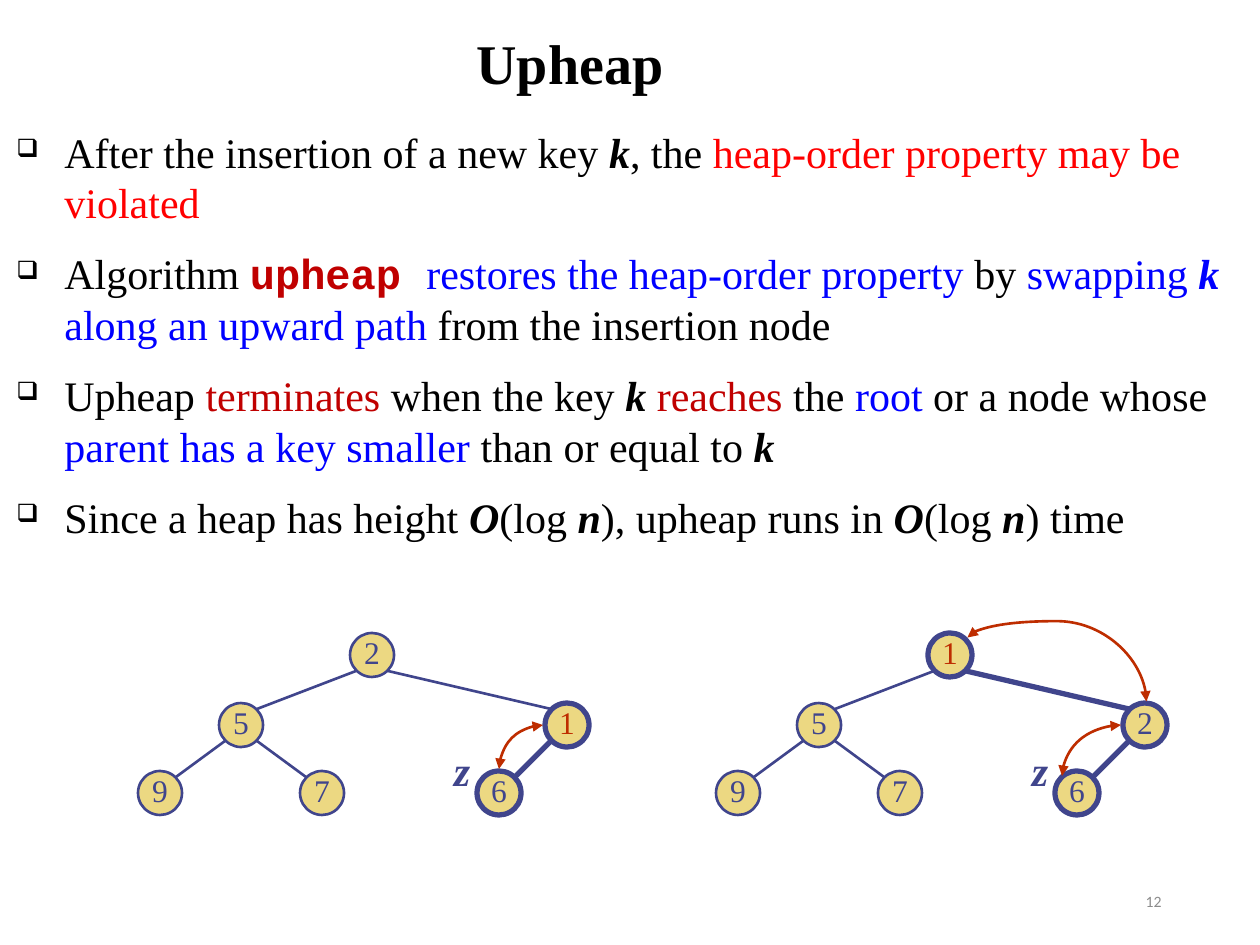
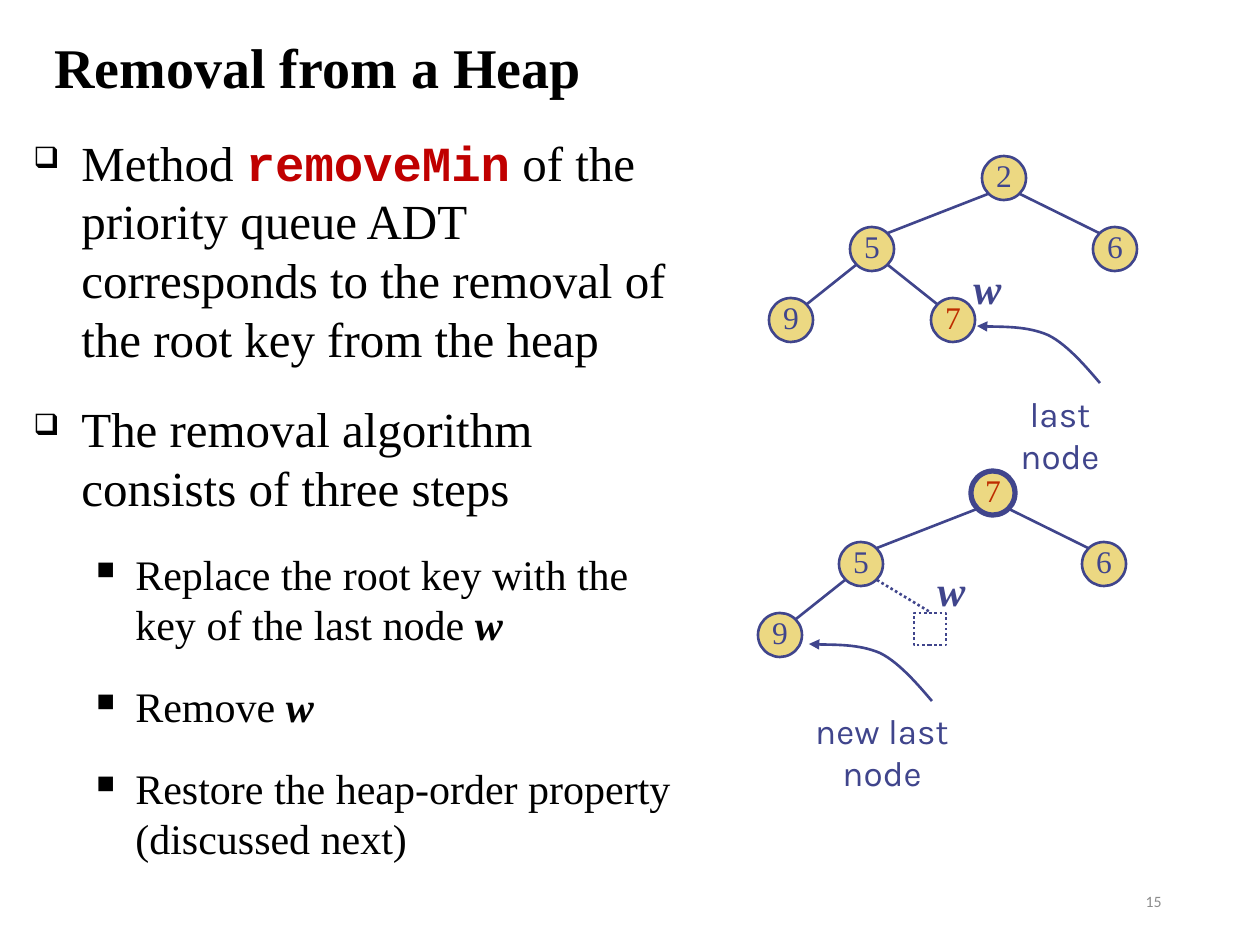
from lxml import etree
from pptx import Presentation
from pptx.dml.color import RGBColor
from pptx.enum import dml, shapes, text
from pptx.oxml.ns import qn
from pptx.util import Pt

SCALE = 914400 / 126
INK, HOT, GOLD = "40458C", "BE2D00", "ECD882"
BLACK, WHITE, GREY = "000000", "FFFFFF", "8C8C8C"
RED, BLUE, DARK = "FF0000", "0000FF", "C00000"
SERIF, MONO, SANS = "Times New Roman", "Courier New", "Karla"
THIN, THICK = 1.5, 3
LEFT, MID = text.PP_ALIGN.LEFT, text.PP_ALIGN.CENTER
RIGHT = text.PP_ALIGN.RIGHT
DOTS = dml.MSO_LINE.ROUND_DOT

STYLES = {
    "": (BLACK, False, False, SERIF),
    "var": (BLACK, True, True, SERIF),
    "red": (RED, False, False, SERIF),
    "dark": (DARK, False, False, SERIF),
    "blue": (BLUE, False, False, SERIF),
    "bluevar": (BLUE, True, True, SERIF),
    "code": (DARK, True, False, MONO),
}
BULLETS = [("❑", 48, 48), ("■", 102, 39)]
EDGES = ["ra", "rb", "ac", "ad", "be"]
WIDE = {"r": (234, 22), "a": (103, 92), "b": (429, 92),
        "c": (22, 160), "d": (184, 160), "e": (361, 160)}
SLIM = {"r": (235, 22), "a": (103, 93), "b": (346, 93),
        "c": (22, 164), "d": (184, 164)}
SWOOP = [(123, 57), (115, 48), (92, 19), (71, 9), (50, 0), (15, 1), (0, 0)]

RULES = [
    [("After the insertion of a new key ", ""), ("k", "var"), (", the ", ""),
     ("heap-order property may be violated", "red")],
    [("Algorithm ", ""), ("upheap ", "code"),
     ("restores the heap-order property ", "blue"), ("by ", ""),
     ("swapping ", "blue"), ("k", "bluevar"),
     (" along an upward path ", "blue"), ("from the insertion node", "")],
    [("Upheap ", ""), ("terminates", "dark"), (" when the key ", ""),
     ("k ", "var"), ("reaches", "dark"), (" the ", ""), ("root", "blue"),
     (" or a node whose ", ""), ("parent has a key smaller ", "blue"),
     ("than or equal to ", ""), ("k", "var")],
    [("Since a heap has height ", ""), ("O", "var"), ("(log ", ""),
     ("n", "var"), ("), upheap runs in ", ""), ("O", "var"), ("(log ", ""),
     ("n", "var"), (") time", "")],
]
STEPS = [
    [("Method ", ""), ("removeMin", "code"),
     (" of the priority queue ADT corresponds to the removal of"
      " the root key from the heap", "")],
    [("The removal algorithm consists of three steps", "")],
    [("Replace the root key with the key of the last node ", ""),
     ("w", "var")],
    [("Remove ", ""), ("w", "var")],
    [("Restore the heap-order property (discussed next)", "")],
]


def px(*nums):
    return [round(n * SCALE) for n in nums]


def rgb(code):
    return RGBColor.from_string(code)


def style(font, size, color, name=SERIF, bold=False, slant=False):
    font.size, font.name = Pt(size), name
    font.bold, font.italic = bold, slant
    font.color.rgb = rgb(color)


def stroke(item, color, width, dash=None):
    item.line.color.rgb = rgb(color)
    item.line.width = Pt(width)
    if dash:
        item.line.dash_style = dash


def heads(item, *ends):
    pen = item.line._get_or_add_ln()
    for end in ends:
        etree.SubElement(pen, qn("a:" + end), type="triangle")


def label(slide, box, words, size, color, name=SERIF, bold=False,
          slant=False, align=MID, anchor=text.MSO_ANCHOR.TOP, wrap=True):
    frame = slide.shapes.add_textbox(*px(*box)).text_frame
    frame.word_wrap, frame.vertical_anchor = wrap, anchor
    para = frame.paragraphs[0]
    para.text, para.alignment = words, align
    style(para.font, size, color, name, bold, slant)
    return frame


def page(deck, words, box, align, number):
    slide = deck.slides.add_slide(deck.slide_layouts[6])
    label(slide, (890, 876, 284, 50), number, 9, GREY, "Calibri",
          align=RIGHT, anchor=text.MSO_ANCHOR.MIDDLE)
    label(slide, box, words, 32, BLACK, bold=True, align=align,
          anchor=text.MSO_ANCHOR.BOTTOM)
    return slide


def bullet(para, level):
    mark, left, hang = BULLETS[level]
    props = para._p.get_or_add_pPr()
    props.set("marL", str(px(left)[0]))
    props.set("indent", str(px(-hang)[0]))
    tint = etree.SubElement(props, qn("a:buClr"))
    etree.SubElement(tint, qn("a:srgbClr"), val=BLACK)
    etree.SubElement(props, qn("a:buSzPct"), val="60000")
    etree.SubElement(props, qn("a:buChar"), char=mark)


def body(slide, box, items, levels, sizes, gap):
    frame = slide.shapes.add_textbox(*px(*box)).text_frame
    frame.word_wrap = True
    for i, (item, level) in enumerate(zip(items, levels)):
        para = frame.add_paragraph() if i else frame.paragraphs[0]
        para.level, para.space_before = level, Pt(gap)
        bullet(para, level)
        for words, kind in item:
            run = para.add_run()
            run.text = words
            color, bold, slant, name = STYLES[kind]
            style(run.font, sizes[level], color, name, bold, slant)


def link(slide, start, end, color=INK, width=THIN, dash=None,
         kind=shapes.MSO_CONNECTOR.STRAIGHT):
    item = slide.shapes.add_connector(kind, *px(*start, *end))
    stroke(item, color, width, dash)
    etree.SubElement(item._element.spPr, qn("a:effectLst"))
    return item


def swap(slide, start, end, preset="curvedConnector2", turn=0, adjust=None):
    item = link(slide, start, end, HOT, kind=shapes.MSO_CONNECTOR.CURVE)
    heads(item, "headEnd", "tailEnd")
    props = item._element.spPr
    props.find(qn("a:xfrm")).set("rot", str(turn * 60000))
    geom = props.find(qn("a:prstGeom"))
    geom.set("prst", preset)
    if adjust:
        guides = geom.find(qn("a:avLst"))
        if guides is None:
            guides = etree.SubElement(geom, qn("a:avLst"))
        etree.SubElement(guides, qn("a:gd"), name="adj1",
                         fmla=f"val {adjust}")


def node(slide, x, y, key, width, color):
    item = slide.shapes.add_shape(shapes.MSO_SHAPE.OVAL,
                                  *px(x - 22, y - 22, 44, 44))
    item.shadow.inherit = False
    item.fill.solid()
    item.fill.fore_color.rgb = rgb(GOLD)
    stroke(item, INK, width)
    frame = item.text_frame
    frame.margin_left = frame.margin_right = frame.margin_top = 0
    frame.margin_bottom = px(6)[0]
    frame.word_wrap = False
    frame.vertical_anchor = text.MSO_ANCHOR.MIDDLE
    para = frame.paragraphs[0]
    para.text, para.alignment = key, MID
    style(para.font, 18, color)


def tree(slide, left, top, spots, keys, bold="", hot=""):
    spots = {s: (left + x, top + y) for s, (x, y) in spots.items()}
    keys = dict(zip(spots, keys))
    for spot, key in keys.items():
        node(slide, *spots[spot], key, THICK if spot in bold else THIN,
             HOT if spot in hot else INK)
    for up, down in EDGES:
        if up in keys and down in keys:
            (x, y), (p, q) = spots[up], spots[down]
            side = 16 if p > x else -16
            heavy = up in bold and down in bold
            link(slide, (x + side, y + 16), (p - side, q - 16),
                 width=THICK if heavy else THIN)
    return spots


def mark(slide, x, y, letter):
    label(slide, (x - 26, y, 52, 63), letter, 24, INK, bold=True,
          slant=True, wrap=False)


def swoop(slide, x, y):
    dots = [tuple(px(x + p, y + q)) for p, q in SWOOP]
    form = slide.shapes.build_freeform(*dots[0], scale=1.0)
    form.add_line_segments(dots[1:], close=False)
    item = form.convert_to_shape()
    item.shadow.inherit = False
    item.fill.background()
    stroke(item, INK, THIN)
    heads(item, "tailEnd")
    route = next(item._element.iter(qn("a:path")))
    legs = route.findall(qn("a:lnTo"))
    for i in range(0, len(legs), 3):
        bend = etree.SubElement(route, qn("a:cubicBezTo"))
        for leg in legs[i:i + 3]:
            bend.append(leg[0])
            route.remove(leg)


def note(slide, box, words):
    frame = label(slide, box, words, 20, INK, SANS)
    frame.margin_left = frame.margin_right = 0


def grown(slide, left, top, keys, bold, hot, tip):
    spots = tree(slide, left, top, WIDE, keys, bold, hot)
    mark(slide, left + 324, top + 105, "z")
    (x, y), (p, q) = spots["b"], spots["e"]
    swap(slide, (x - 24, y), (p + tip[0], q + tip[1]))


def upheap(deck):
    slide = page(deck, "Upheap", (19, 4, 1102, 98), MID, "12")
    body(slide, (4, 120, 1246, 465), RULES, [0] * 4, [24], 12)
    grown(slide, 138, 633, "251976", "be", "b", (0, -24))
    grown(slide, 716, 633, "152976", "rbe", "r", (-15, -17))
    swap(slide, (1089, 580), (1025, 759), "curvedConnector3", 90, 125600)


def gap(slide, x, y, start):
    link(slide, start, (x, y), dash=DOTS)
    item = slide.shapes.add_shape(shapes.MSO_SHAPE.RECTANGLE,
                                  *px(x - 16, y + 1, 32, 32))
    item.shadow.inherit = False
    item.fill.solid()
    item.fill.fore_color.rgb = rgb(WHITE)
    stroke(item, INK, THIN, DOTS)


def removal(deck):
    slide = page(deck, "Removal from a Heap", (42, 13, 1102, 93), LEFT, "15")
    body(slide, (21, 126, 675, 630), STEPS, [0, 0, 1, 1, 1], [28, 24], 18)
    tree(slide, 769, 156, SLIM, "25697", hot="d")
    swoop(slide, 977, 326)
    note(slide, (1000, 386, 120, 97), "last node")
    mark(slide, 987, 256, "w")
    spots = tree(slide, 758, 471, SLIM, "7569", "r", "r")
    x, y = spots["a"]
    gap(slide, 930, 612, (x + 16, y + 16))
    mark(slide, 951, 558, "w")
    swoop(slide, 809, 644)
    note(slide, (792, 703, 180, 97), "new last node")


def main():
    deck = Presentation()
    deck.slide_width, deck.slide_height = px(1260, 945)
    upheap(deck)
    removal(deck)
    deck.save("out.pptx")


if __name__ == "__main__":
    main()
